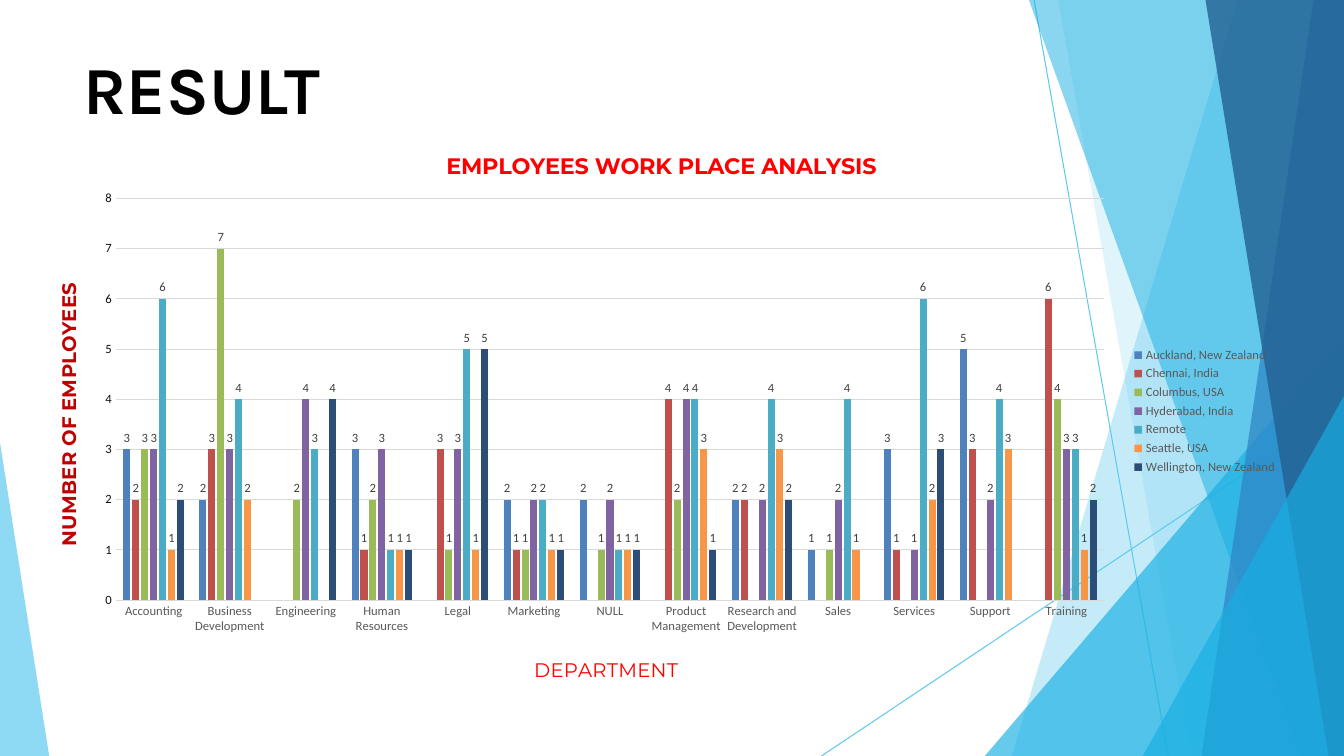
import pptx
import pptx.chart.data
import pptx.dml.color
import pptx.enum.chart
import pptx.enum.shapes
import pptx.enum.text
import pptx.oxml.ns
import pptx.oxml.xmlchemy
import pptx.util
from pptx.util import Cm, Pt

WIDTH, HEIGHT = 33.87, 19.05
TITLE = "RESULT"
CHART_TITLE = "EMPLOYEES WORK PLACE ANALYSIS"
DEPARTMENTS = [
    "Accounting", "Business Development", "Engineering", "Human Resources",
    "Legal", "Marketing", "NULL", "Product Management",
    "Research and Development", "Sales", "Services", "Support", "Training",
]
# Workplace, bar colour, employees per department
WORKPLACES = [
    ("Auckland, New Zealand", "4F81BD", [3, 2, None, 3, None, 2, 2, None, 2, 1, 3, 5, None]),
    ("Chennai, India", "C0504D", [2, 3, None, 1, 3, 1, None, 4, 2, None, 1, 3, 6]),
    ("Columbus, USA", "9BBB59", [3, 7, 2, 2, 1, 1, 1, 2, None, 1, None, None, 4]),
    ("Hyderabad, India", "8064A2", [3, 3, 4, 3, 3, 2, 2, 4, 2, 2, 1, 2, 3]),
    ("Remote", "4BACC6", [6, 4, 3, 1, 5, 2, 1, 4, 4, 4, 6, 4, 3]),
    ("Seattle, USA", "F79646", [1, 2, None, 1, 1, 1, 1, 3, 3, 1, 2, 3, 1]),
    ("Wellington, New Zealand", "2C4D75", [2, None, 4, 1, 5, 1, 1, 1, 2, None, 3, None, 2]),
]
# Start and end of each thin line, in cm
LINES = [((26.06, 0), (29.44, HEIGHT)), ((WIDTH, 10.26), (20.7, HEIGHT))]
# Fill, opacity in percent, corners in cm
RIGHT_TOP, RIGHT_BOTTOM = (WIDTH, 0), (WIDTH, HEIGHT)
FACETS = [
    ("5FCAEE", 36, [RIGHT_TOP, (31.19, 0), (25.5, HEIGHT), RIGHT_BOTTOM]),
    ("5FCAEE", 20, [RIGHT_TOP, (26.67, 0), (30.02, HEIGHT), RIGHT_BOTTOM]),
    ("17AFE3", 66, [(WIDTH, 8.46), (24.82, HEIGHT), RIGHT_BOTTOM]),
    ("17AFE3", 50, [RIGHT_TOP, (25.93, 0), (32.79, HEIGHT), RIGHT_BOTTOM]),
    ("2D83C3", 70, [RIGHT_TOP, (33.1, 0), (30.28, HEIGHT), RIGHT_BOTTOM]),
    ("226192", 80, [RIGHT_TOP, (30.38, 0), (33.48, HEIGHT), RIGHT_BOTTOM]),
    ("17AFE3", 66, [(WIDTH, 9.98), (28.8, HEIGHT), RIGHT_BOTTOM]),
    ("5FCAEE", 70, [(0, 11.15), (0, HEIGHT), (1.24, HEIGHT)]),
]


def color(hex_text):
    return pptx.dml.color.RGBColor.from_string(hex_text)


def new_element(tag):
    return pptx.oxml.xmlchemy.OxmlElement(tag)


def style_font(font, name, size, hex_text, bold=False):
    font.name, font.size, font.bold = name, Pt(size), bold
    font.color.rgb = color(hex_text)


def add_line(page, start, end):
    line = page.shapes.add_connector(
        pptx.enum.shapes.MSO_CONNECTOR.STRAIGHT, *map(Cm, start + end))
    line.line.color.rgb = color("5FCAEE")
    line.line.width = Pt(0.75)
    line.element.spPr.append(new_element("a:effectLst"))


def add_facet(page, fill, opacity, corners):
    points = [(Cm(x), Cm(y)) for x, y in corners]
    builder = page.shapes.build_freeform(*points[0])
    builder.add_line_segments(points[1:], close=True)
    facet = builder.convert_to_shape()
    facet.shadow.inherit = False
    facet.line.fill.background()
    facet.fill.solid()
    facet.fill.fore_color.rgb = color(fill)
    alpha = new_element("a:alpha")
    alpha.set("val", str(opacity * 1000))
    facet.element.spPr.find(".//" + pptx.oxml.ns.qn("a:srgbClr")).append(alpha)


def place(parent, index, **fractions):
    """Give a chart part a manual layout in fractions of the chart."""
    for old in parent.findall(pptx.oxml.ns.qn("c:layout")):
        parent.remove(old)
    layout = new_element("c:layout")
    manual = new_element("c:manualLayout")
    settings = {"xMode": "edge", "yMode": "edge", **fractions}
    if "w" in fractions:
        settings = {"layoutTarget": "inner", **settings}
    for name, value in settings.items():
        item = new_element("c:" + name)
        item.set("val", str(value))
        manual.append(item)
    layout.append(manual)
    parent.insert(index, layout)


def write_chart_title(title, text, size, hex_text, bold, x, y):
    title.text_frame.text = text
    span = title.text_frame.paragraphs[0].runs[0]
    style_font(span.font, "Montserrat", size, hex_text, bold)
    # The layout follows the text element
    place(title._element, 1, x=x, y=y)


def add_workplace_chart(page):
    data = pptx.chart.data.CategoryChartData()
    data.categories = DEPARTMENTS
    for name, _, counts in WORKPLACES:
        data.add_series(name, counts)
    chart = page.shapes.add_chart(
        pptx.enum.chart.XL_CHART_TYPE.COLUMN_CLUSTERED,
        Cm(0.66), Cm(3.12), Cm(31.78), Cm(14.48), data).chart
    style_font(chart.font, "Calibri", 10, "000000")

    plot = chart.plots[0]
    plot.gap_width, plot.overlap, plot.vary_by_categories = 219, -27, False
    for series, (_, fill, _) in zip(plot.series, WORKPLACES):
        series.format.fill.solid()
        series.format.fill.fore_color.rgb = color(fill)
        labels = series.data_labels
        labels.show_value = True
        labels.position = pptx.enum.chart.XL_LABEL_POSITION.OUTSIDE_END
        style_font(labels.font, "Calibri", 9, "404040")

    departments, employees = chart.category_axis, chart.value_axis
    for axis, hex_text in ((departments, "595959"), (employees, "0D0D0D")):
        axis.major_tick_mark = pptx.enum.chart.XL_TICK_MARK.NONE
        style_font(axis.tick_labels.font, "Calibri", 9, hex_text)
    employees.minimum_scale, employees.maximum_scale, employees.major_unit = 0, 8, 1
    employees.format.line.fill.background()
    for line in (departments.format.line, employees.major_gridlines.format.line):
        line.color.rgb = color("D9D9D9")
        line.width = Pt(0.75)

    chart.has_legend = True
    chart.legend.position = pptx.enum.chart.XL_LEGEND_POSITION.RIGHT
    chart.legend.include_in_layout = False
    style_font(chart.legend.font, "Calibri", 9, "595959")

    write_chart_title(chart.chart_title, CHART_TITLE, 16, "FF0000", True, 0.33, 0.04)
    write_chart_title(departments.axis_title, "DEPARTMENT", 14, "FF0000", False, 0.4, 0.92)
    write_chart_title(employees.axis_title, "NUMBER OF EMPLOYEES", 14, "C00000", True, 0.02, 0.27)
    body = employees.axis_title._element.find(".//" + pptx.oxml.ns.qn("a:bodyPr"))
    body.set("rot", "-5400000")
    body.set("vert", "horz")
    plot_area = chart._chartSpace.find(".//" + pptx.oxml.ns.qn("c:plotArea"))
    place(plot_area, 0, x=0.071, y=0.13, w=0.784, h=0.699)


def write_title(page):
    title = page.shapes.title
    title.left, title.top, title.width, title.height = Cm(2.11), Cm(1.07), Cm(29.67), Cm(4.11)
    frame = title.text_frame
    frame.text = TITLE
    frame.margin_left = frame.margin_right = frame.margin_bottom = 0
    frame.margin_top = Cm(0.13)
    frame.vertical_anchor = pptx.enum.text.MSO_ANCHOR.TOP
    frame.paragraphs[0].alignment = pptx.enum.text.PP_ALIGN.LEFT
    style_font(frame.paragraphs[0].runs[0].font, "Karla", 48, "000000", True)
    title.element.getparent().append(title.element)


def main():
    deck = pptx.Presentation()
    deck.slide_width, deck.slide_height = Cm(WIDTH), Cm(HEIGHT)
    page = deck.slides.add_slide(deck.slide_layouts.get_by_name("Title Only"))
    for start, end in LINES:
        add_line(page, start, end)
    for facet in FACETS:
        add_facet(page, *facet)
    write_title(page)
    add_workplace_chart(page)
    deck.save("out.pptx")


if __name__ == "__main__":
    main()
